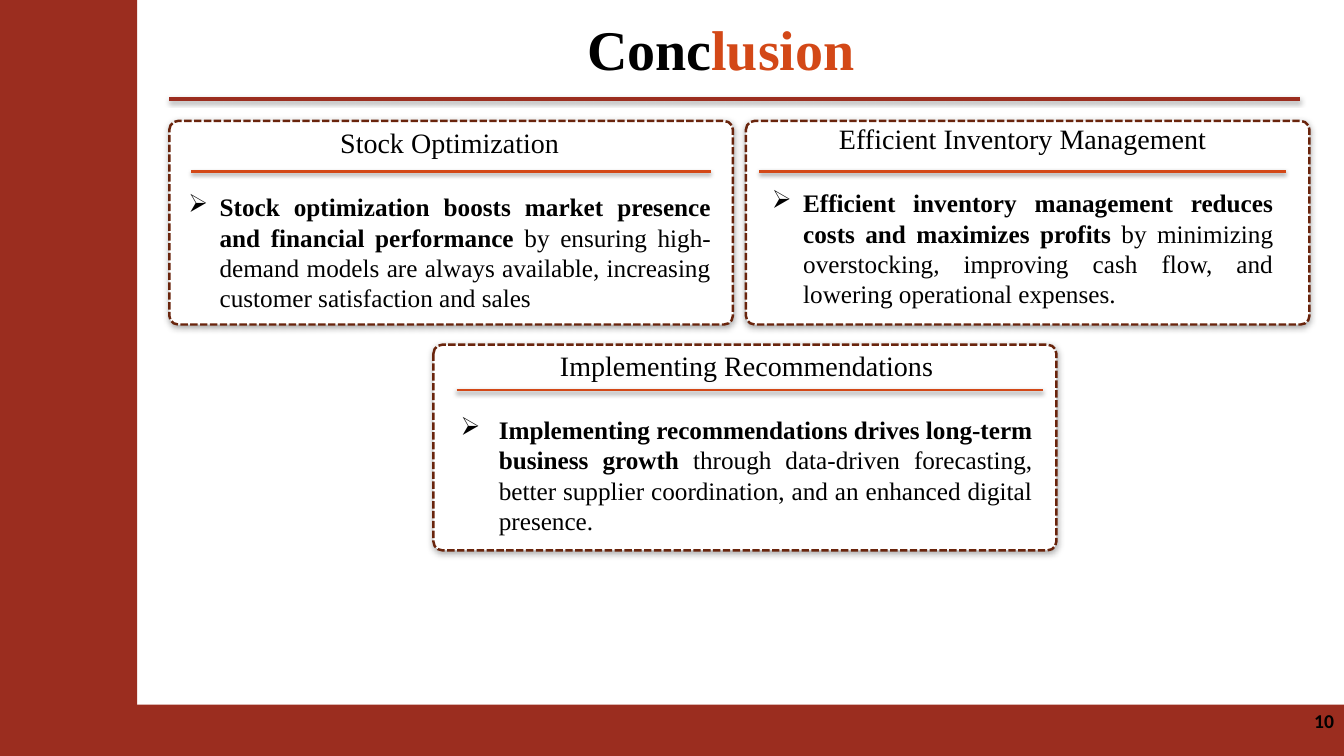
from dataclasses import dataclass

from lxml import etree
from pptx import Presentation
from pptx.dml.color import RGBColor
from pptx.enum.dml import MSO_LINE
from pptx.enum.shapes import MSO_CONNECTOR, MSO_SHAPE
from pptx.enum.text import MSO_ANCHOR, PP_ALIGN
from pptx.oxml.ns import qn
from pptx.util import Inches, Pt

RECT, ROUND = MSO_SHAPE.RECTANGLE, MSO_SHAPE.ROUNDED_RECTANGLE
LINE, DASH = MSO_CONNECTOR.STRAIGHT, MSO_LINE.SQUARE_DOT
TOP, MIDDLE = MSO_ANCHOR.TOP, MSO_ANCHOR.MIDDLE
CENTER, RIGHT, JUSTIFY = PP_ALIGN.CENTER, PP_ALIGN.RIGHT, PP_ALIGN.JUSTIFY


@dataclass(frozen=True)
class Theme:
    brick: str = "9B2D1F"
    orange: str = "D34817"
    brown: str = "69240C"
    white: str = "FFFFFF"
    black: str = "000000"
    serif: str = "Times New Roman"
    sans: str = "Calibri"
    title: int = 40
    head: int = 20
    body: int = 18
    page: int = 14


class Deck:
    """Places elements on a grid of 100 columns by 100 rows."""

    def __init__(self, theme):
        self.theme = theme
        self.prs = Presentation()
        self.prs.slide_width, self.prs.slide_height = Inches(13.33), Inches(7.5)
        self.slide = self.prs.slides.add_slide(self.prs.slide_layouts[6])
        self.shapes = self.slide.shapes

    def grid(self, *spots):
        """Turn column, row, column, row into lengths."""
        sides = (self.prs.slide_width, self.prs.slide_height) * 2
        return [round(spot * side / 100) for spot, side in zip(spots, sides)]

    def shade(self, item, blur, drop, alpha):
        """Give an item a soft black shadow that falls straight down."""
        props = item._element.spPr
        group = props.find(qn("a:effectLst"))
        if group is None:
            group = etree.SubElement(props, qn("a:effectLst"))
        cast = etree.SubElement(group, qn("a:outerShdw"), blurRad=str(Pt(blur)),
                                dist=str(Pt(drop)), dir="5400000", rotWithShape="0")
        tint = etree.SubElement(cast, qn("a:srgbClr"), val=self.theme.black)
        etree.SubElement(tint, qn("a:alpha"), val=str(alpha * 1000))

    def block(self, kind, spot, fill):
        shape = self.shapes.add_shape(kind, *self.grid(*spot))
        shape.shadow.inherit = False
        shape.fill.solid()
        shape.fill.fore_color.rgb = RGBColor.from_string(fill)
        shape.line.fill.background()
        return shape

    def frame(self, spot):
        shape = self.block(ROUND, spot, self.theme.white)
        shape.adjustments[0] = 0.043
        shape.line.color.rgb = RGBColor.from_string(self.theme.brown)
        shape.line.width = Pt(1.75)
        shape.line.dash_style = DASH
        self.shade(shape, 5, 1.5, 35)

    def rule(self, left, right, row, color, width, alpha):
        line = self.shapes.add_connector(LINE, *self.grid(left, row, right, row))
        line.line.color.rgb = RGBColor.from_string(color)
        line.line.width = Pt(width)
        self.shade(line, 3.1, 1.7, alpha)

    def text(self, spot, anchor=TOP):
        frame = self.shapes.add_textbox(*self.grid(*spot)).text_frame
        frame.word_wrap = True
        frame.vertical_anchor = anchor
        return frame

    def run(self, para, words, size, bold=False, color=None, font=None):
        run = para.add_run()
        run.text = words
        run.font.size = Pt(size)
        run.font.bold = bold
        run.font.name = font or self.theme.serif
        run.font.color.rgb = RGBColor.from_string(color or self.theme.black)

    def bullet(self, para, indent):
        props = para._p.get_or_add_pPr()
        props.set("marL", str(Inches(indent)))
        props.set("indent", str(-Inches(indent)))
        etree.SubElement(props, qn("a:buChar"), char="➢")

    def card(self, box, area, rule, indent, head, claim, rest):
        look = self.theme
        self.frame(box)
        frame = self.text(area)
        para = frame.paragraphs[0]
        para.alignment = CENTER
        self.run(para, head, look.head)
        para = frame.add_paragraph()
        para.alignment = JUSTIFY
        para.space_before = Pt(23)
        self.bullet(para, indent)
        self.run(para, claim, look.body, bold=True)
        self.run(para, rest, look.body)
        self.rule(*rule, look.orange, 2, 38)


# Box, text area, rule (left, right, row), indent, heading, claim, rest
CARDS = [
    ((12.6, 16, 41.93, 26.93), (13.28, 16, 40.36, 26.5), (14.25, 52.89, 22.67), 0.31,
     "Stock Optimization",
     "Stock optimization boosts market presence and financial performance",
     " by ensuring high-demand models are always available, increasing "
     "customer satisfaction and sales"),
    ((55.5, 16, 41.93, 26.93), (56.7, 15.47, 38.78, 26.5), (56.49, 95.65, 22.67), 0.31,
     "Efficient Inventory Management",
     "Efficient inventory management reduces costs and maximizes profits",
     " by minimizing overstocking, improving cash flow, and lowering "
     "operational expenses."),
    ((32.25, 45.6, 46.35, 27.2), (33.53, 45.47, 44.04, 26.5), (33.98, 77.57, 51.6), 0.38,
     "Implementing Recommendations",
     "Implementing recommendations drives long-term business growth",
     " through data-driven forecasting, better supplier coordination, and an "
     "enhanced digital presence."),
]


def main():
    look = Theme()
    deck = Deck(look)

    # Side and bottom bands
    deck.block(RECT, (0, 0, 10.2, 93.3), look.brick)
    deck.block(RECT, (0, 93.2, 100, 6.8), look.brick)

    # Title
    para = deck.text((11.55, 1.33, 84.17, 21.2)).paragraphs[0]
    para.alignment = CENTER
    para.space_before = para.space_after = Pt(4.5)
    deck.run(para, "Conc", look.title, bold=True)
    deck.run(para, "lusion", look.title, bold=True, color=look.orange)
    deck.rule(12.6, 96.7, 13.07, look.brick, 3, 35)

    # Cards
    for card in CARDS:
        deck.card(*card)

    # Page number
    para = deck.text((77.5, 92.67, 22.5, 5.33), MIDDLE).paragraphs[0]
    para.alignment = RIGHT
    deck.run(para, "10", look.page, bold=True, font=look.sans)

    deck.prs.save("out.pptx")


if __name__ == "__main__":
    main()
